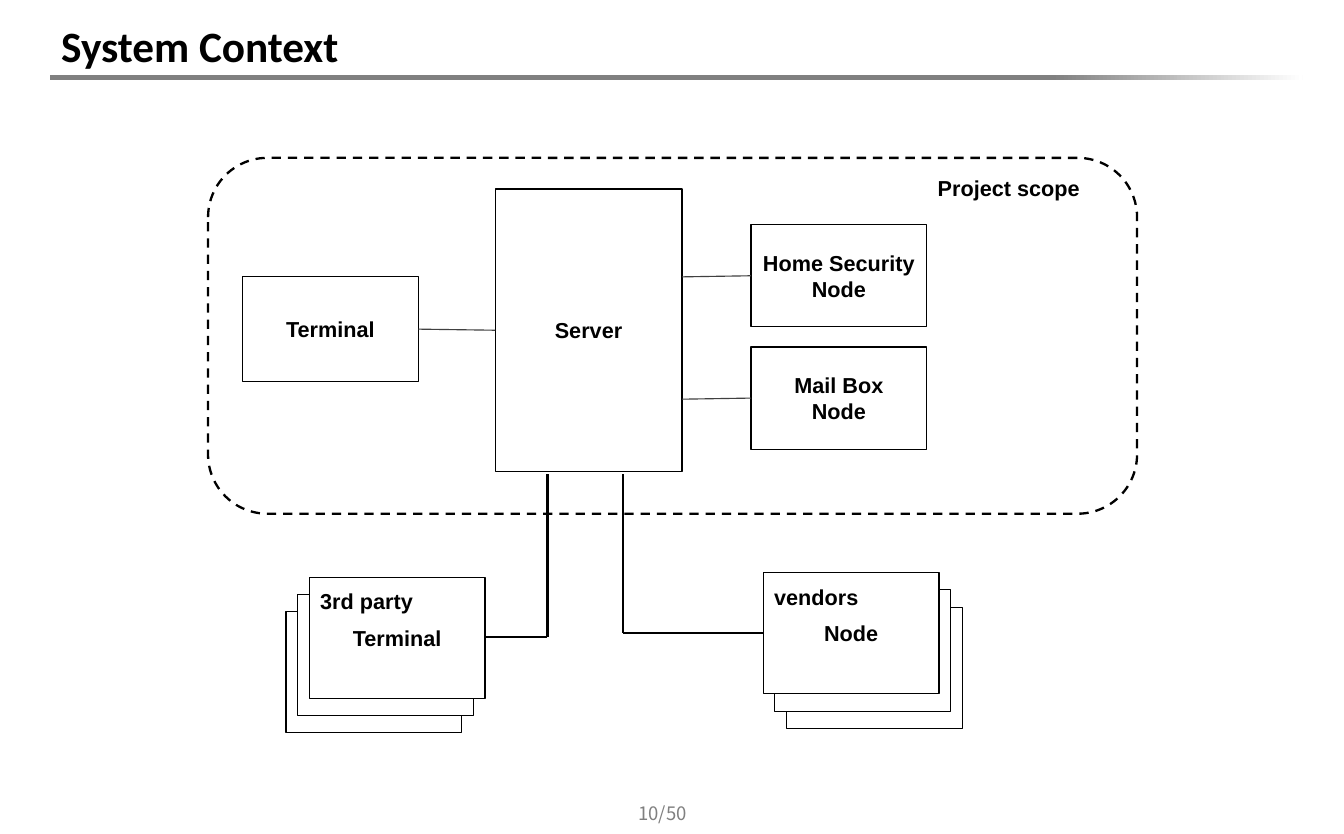
from itertools import pairwise

from lxml import etree
from pptx import Presentation
from pptx.dml.color import RGBColor
from pptx.enum.dml import MSO_LINE_DASH_STYLE as Dash
from pptx.enum.shapes import MSO_CONNECTOR as Connector, MSO_SHAPE as Shape
from pptx.enum.text import MSO_ANCHOR as Anchor, PP_ALIGN as Align
from pptx.oxml.ns import qn
from pptx.util import Inches, Pt

# Grid of square cells: 120.8 columns by 75 rows
CELL = Inches(0.1)
COLUMNS, ROWS = 120.8, 75

BLACK, WHITE, GREY, DARK_GREY = "000000", "FFFFFF", "808080", "404040"
NODE_WIDTH = 15.8
CARD_HEIGHT = 10.9
STACK_SIZE, STACK_RIGHT, STACK_DOWN = 3, 1.05, 1.55


def cells(*counts):
    return [round(count * CELL) for count in counts]


def color(hex_code):
    return RGBColor.from_string(hex_code)


def write(shape, text, size=14, font="Arial", fill=BLACK, bold=True,
          align=Align.CENTER, anchor=Anchor.MIDDLE, inset=0.9):
    """Put text in a shape, one paragraph for each line."""
    frame = shape.text_frame
    frame.word_wrap = True
    frame.vertical_anchor = anchor
    (frame.margin_left, frame.margin_top,
     frame.margin_right, frame.margin_bottom) = cells(*[inset] * 4)
    frame.text = text
    for paragraph in frame.paragraphs:
        paragraph.alignment = align
        paragraph.font.size = Pt(size)
        paragraph.font.name = font
        paragraph.font.bold = bold
        paragraph.font.color.rgb = color(fill)


def add_label(slide, box, text, **text_format):
    write(slide.shapes.add_textbox(*cells(*box)), text, **text_format)


def add_box(slide, box, text="", kind=Shape.RECTANGLE, fill=WHITE, width=0.75):
    shape = slide.shapes.add_shape(kind, *cells(*box))
    shape.shadow.inherit = False
    if fill:
        shape.fill.solid()
        shape.fill.fore_color.rgb = color(fill)
    else:
        shape.fill.background()
    shape.line.color.rgb = color(BLACK)
    shape.line.width = Pt(width)
    if text:
        write(shape, text)
    return shape


def add_route(slide, *points, stroke=DARK_GREY, width=0.75):
    """Join the points in turn with straight connectors."""
    for start, end in pairwise(points):
        line = slide.shapes.add_connector(
            Connector.STRAIGHT, *cells(*start, *end))
        line.line.color.rgb = color(stroke)
        line.line.width = Pt(width)
        etree.SubElement(line._element.spPr, qn("a:effectLst"))


def add_stack(slide, left, top, direction, owner, text):
    """Draw overlapping cards, the front one labelled with its owner."""
    for depth in reversed(range(STACK_SIZE)):
        box = (left + direction * depth * STACK_RIGHT,
               top + depth * STACK_DOWN, NODE_WIDTH, CARD_HEIGHT)
        add_box(slide, box, "" if depth else text)
    add_label(slide, (left, top, 11.4, 4.5), owner,
              align=Align.LEFT, anchor=Anchor.TOP, inset=1)


def add_heading(slide, text):
    title = slide.shapes.title
    title.left, title.top, title.width, title.height = cells(4.5, 1.4, 112.6, 5.4)
    write(title, text, size=28, font="Calibri", align=Align.LEFT, inset=1)

    rule = slide.shapes.add_shape(Shape.RECTANGLE, *cells(4.5, 6.7, 112.6, 0.5))
    rule.shadow.inherit = False
    rule.line.fill.background()
    rule.fill.gradient()
    rule.fill.gradient_angle = 0
    for stop, (position, shade) in zip(rule.fill.gradient_stops,
                                       [(0.8, GREY), (1, WHITE)]):
        stop.position = position
        stop.color.rgb = color(shade)


def add_project_scope(slide):
    scope = add_box(slide, (18.7, 14.2, 83.5, 32), kind=Shape.ROUNDED_RECTANGLE,
                    fill=None, width=1.5)
    scope.line.dash_style = Dash.DASH
    add_label(slide, (83.3, 14.7, 15.8, 5.2), "Project scope",
              align=Align.LEFT, anchor=Anchor.TOP, inset=1)

    # Server, terminal and nodes
    add_box(slide, (44.5, 17, 16.8, 25.4), "Server")
    add_box(slide, (21.8, 24.9, NODE_WIDTH, 9.4), "Terminal")
    add_route(slide, (37.6, 29.6), (44.5, 29.7))
    for top, text in [(20.2, "Home Security\nNode"), (31.2, "Mail Box\nNode")]:
        add_box(slide, (67.5, top, NODE_WIDTH, 9.2), text)
        add_route(slide, (67.5, top + 4.6), (61.3, top + 4.7))


def add_outside_parties(slide):
    add_stack(slide, 27.8, 51.9, -1, "3rd party", "Terminal")
    add_stack(slide, 68.6, 51.5, 1, "vendors", "Node")
    for card_edge, row, server_column in [(43.6, 57.3, 49.2), (68.6, 56.9, 56)]:
        add_route(slide, (card_edge, row), (server_column, row),
                  (server_column, 42.6), stroke=BLACK, width=1.5)


def main():
    presentation = Presentation()
    presentation.slide_width, presentation.slide_height = cells(COLUMNS, ROWS)
    title_only = presentation.slide_layouts[5]
    slide = presentation.slides.add_slide(title_only)

    add_heading(slide, "System Context")
    add_project_scope(slide)
    add_outside_parties(slide)

    # Page number
    add_label(slide, (54.1, 71.9, 10.9, 2.4), "10/50", size=12,
              font="Noto Sans CJK KR", fill=GREY, bold=False, inset=0)

    presentation.save("out.pptx")


if __name__ == "__main__":
    main()
